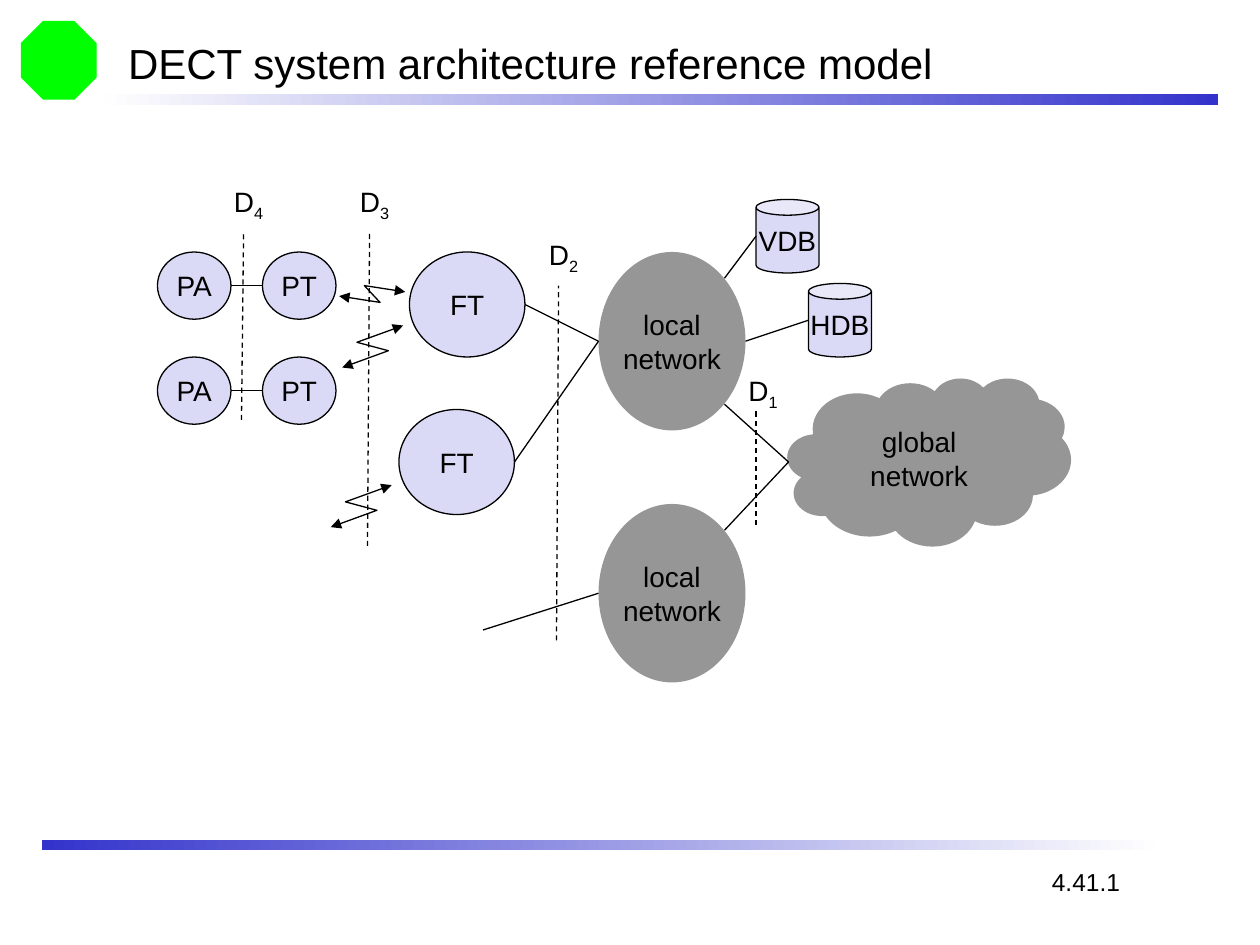
from lxml import etree
from pptx import Presentation
from pptx.dml.color import RGBColor
from pptx.enum import dml, shapes, text
from pptx.oxml.ns import qn
from pptx.util import Pt

PX = 7620  # EMU per px, 120 px to the inch
FONT = "Arial"
COLORS = {k: RGBColor.from_string(v) for k, v in {
    "black": "000000", "blue": "3333CC", "white": "FEFEFE",
    "lilac": "DADAF6", "gray": "969696", "green": "00FF00"}.items()}
GEO = shapes.MSO_SHAPE


def add_run(p, words, size=16):
    r = p.add_run()
    r.text = words
    r.font.size, r.font.name = Pt(size), FONT
    r.font.color.rgb = COLORS["black"]
    return r


def add_node(geo, box, fill, label="", outlined=False):
    """Add a flat shape with one centred paragraph per line of the label."""
    sp = slide.shapes.add_shape(geo, *[v * PX for v in box])
    sp.shadow.inherit = False
    sp.fill.solid()
    sp.fill.fore_color.rgb = COLORS[fill]
    if outlined:
        sp.line.color.rgb, sp.line.width = COLORS["black"], Pt(0.75)
    else:
        sp.line.fill.background()
    tf = sp.text_frame
    tf.word_wrap = False
    for i, words in enumerate(label.split()):
        p = tf.add_paragraph() if i else tf.paragraphs[0]
        p.alignment = text.PP_ALIGN.CENTER
        add_run(p, words)
    return sp


prs = Presentation()
prs.slide_width, prs.slide_height = 1200 * PX, 900 * PX
slide = prs.slides.add_slide(prs.slide_layouts[5])

# Frame: emblem, gradient bars, title, page number
add_node(GEO.OCTAGON, (20, 20, 72, 75), "green")
for x, y, ends in [(100, 90, ("white", "blue")), (40, 800, ("blue", "white"))]:
    bar = add_node(GEO.RECTANGLE, (x, y, 1060, 10), "blue")
    bar.fill.gradient()
    bar.fill.gradient_angle = 0
    for stop, name in zip(bar.fill.gradient_stops, ends):
        stop.color.rgb = COLORS[name]

title = slide.shapes.title
title.left, title.top, title.width, title.height = [
    v * PX for v in (110, 30, 1020, 60)]
tf = title.text_frame
tf.auto_size = text.MSO_AUTO_SIZE.NONE
tf.vertical_anchor = text.MSO_ANCHOR.MIDDLE
tf.paragraphs[0].alignment = text.PP_ALIGN.LEFT
add_run(tf.paragraphs[0], "DECT system architecture reference model", 24)

page = slide.shapes.add_textbox(990 * PX, 820 * PX, 89 * PX, 41 * PX)
page.text_frame.word_wrap = False
add_run(page.text_frame.paragraphs[0], "4.41.1", 14)

# Networks, terminals and databases
cloud = add_node(GEO.CLOUD_CALLOUT, (750, 360, 270, 160), "gray", "global network")
cloud.adjustments[0], cloud.adjustments[1] = -0.067, -0.049
for y in (240, 480):
    add_node(GEO.OVAL, (570, y, 140, 170), "gray", "local network")
for x, y in [(390, 240), (380, 390)]:
    add_node(GEO.OVAL, (x, y, 110, 100), "lilac", "FT", True)
for y in (240, 340):
    for x, label in [(150, "PA"), (250, "PT")]:
        add_node(GEO.OVAL, (x, y, 70, 64), "lilac", label, True)
for x, y, label in [(720, 190, "VDB"), (770, 270, "HDB")]:
    add_node(GEO.CAN, (x, y, 60, 70), "lilac", label, True)

# Links, then dashed reference points with their labels
links = [
    (751, 440, 690, 385), (751, 440, 690, 505),  # global to local networks
    (220, 272, 250, 272), (220, 372, 250, 372),  # PA to PT
    (490, 440, 570, 325), (500, 290, 570, 325),  # FT to local network
    (690, 265, 720, 225), (710, 325, 770, 305),  # local network to databases
    (460, 600, 570, 565),
]
references = [(720, 500, 720, 390), (530, 610, 532, 272),
              (350, 520, 352, 222), (230, 400, 232, 222)]
for ends in links + references:
    line = slide.shapes.add_connector(
        shapes.MSO_CONNECTOR.STRAIGHT, *[v * PX for v in ends])
    line.line.color.rgb, line.line.width = COLORS["black"], Pt(0.75)
    if ends in references:
        line.line.dash_style = dml.MSO_LINE.DASH
    etree.SubElement(line._element.spPr, qn("a:effectLst"))

for number, (ends, top) in enumerate(zip(references, (350, 220, 170, 170)), 1):
    tb = slide.shapes.add_textbox((ends[0] - 19) * PX, top * PX, 52 * PX, 49 * PX)
    tb.text_frame.word_wrap = False
    p = tb.text_frame.paragraphs[0]
    add_run(p, "D")
    add_run(p, str(number)).font._element.set("baseline", "-25000")

# Radio links
flat_bolt = [(386, 278), (347, 272), (362, 288), (323, 282)]
steep_bolt = [(384, 310), (340, 326), (370, 334), (326, 350)]
lower_bolt = [(x - 11, y + 152) for x, y in steep_bolt]
for bolt in (flat_bolt, steep_bolt, lower_bolt):
    builder = slide.shapes.build_freeform(*bolt[0], scale=PX)
    builder.add_line_segments(bolt[1:], close=False)
    sp = builder.convert_to_shape()
    sp.shadow.inherit = False
    sp.fill.background()
    sp.line.color.rgb, sp.line.width = COLORS["black"], Pt(0.75)
    for tag in ("a:headEnd", "a:tailEnd"):
        etree.SubElement(sp.line._get_or_add_ln(), qn(tag), type="triangle")

prs.save("out.pptx")
